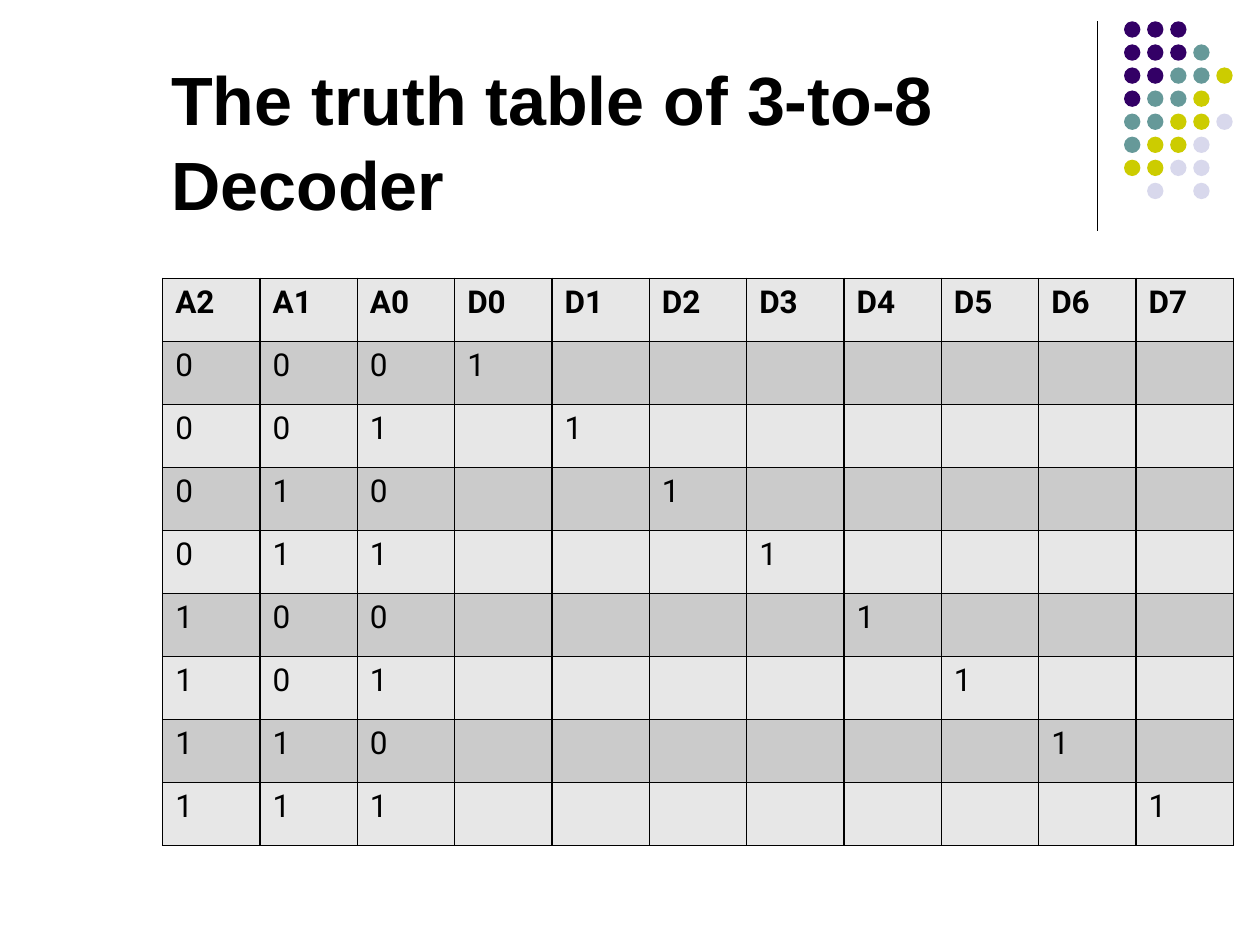
from lxml.etree import SubElement
from pptx import Presentation
from pptx.dml.color import RGBColor
from pptx.enum.shapes import MSO_CONNECTOR, MSO_SHAPE
from pptx.enum.text import MSO_ANCHOR, MSO_AUTO_SIZE, PP_ALIGN
from pptx.oxml.ns import qn
from pptx.util import Cm, Pt

COLORS = {
    "black": "000000",
    "light row": "E7E7E7",
    "dark row": "CBCBCB",
    "P": "330066",
    "T": "669999",
    "Y": "CCCC00",
    "L": "D8D8EC",
}
# One letter per dot, a dot character for a gap
DOT_ROWS = ["PPP..", "PPPT.", "PPTTY", "PTTY.", "TTYYL", "TYYL.", "YYLL.", ".L.L."]
INPUTS = 3
OUTPUTS = 2 ** INPUTS


def write_text(text_frame, text, *, font, size, bold=False):
    """Fill the first paragraph with one left-aligned black run."""
    paragraph = text_frame.paragraphs[0]
    paragraph.alignment = PP_ALIGN.LEFT
    run = paragraph.add_run()
    run.text = text
    run.font.name = font
    run.font.size = Pt(size)
    run.font.bold = bold
    run.font.color.rgb = RGBColor.from_string(COLORS["black"])


def add_borders(cell):
    """Draw a 1 pt black line on all four sides of a cell."""
    properties = cell._tc.get_or_add_tcPr()
    for position, side in enumerate(("a:lnL", "a:lnR", "a:lnT", "a:lnB")):
        line = SubElement(properties, qn(side), w=str(Pt(1)))
        fill = SubElement(line, qn("a:solidFill"))
        SubElement(fill, qn("a:srgbClr"), val=COLORS["black"])
        properties.insert(position, line)


presentation = Presentation()
presentation.slide_width = Cm(25.4)
presentation.slide_height = Cm(19.05)
slide = presentation.slides.add_slide(presentation.slide_layouts[5])
shapes = slide.shapes

# Title
title = shapes.title
title.left, title.top, title.width, title.height = Cm(3.2), Cm(0.58), Cm(21.64), Cm(4.06)
title_frame = title.text_frame
title_frame.auto_size = MSO_AUTO_SIZE.NONE
title_frame.word_wrap = True
title_frame.vertical_anchor = MSO_ANCHOR.BOTTOM
title_frame.margin_right = Cm(0.5)
title_frame.paragraphs[0].line_spacing = 1.03
write_text(title_frame, "The truth table of 3-to-8 Decoder", font="Arial", size=39, bold=True)

# Vertical rule and dot pattern
rule = shapes.add_connector(MSO_CONNECTOR.STRAIGHT, Cm(22.12), Cm(0.43), Cm(22.12), Cm(4.65))
rule.line.color.rgb = RGBColor.from_string(COLORS["black"])
rule.line.width = Pt(0.75)
SubElement(rule._element.spPr, qn("a:effectLst"))

dots = shapes.add_group_shape()
dot_size, dot_pitch = 0.33, 0.465
for row, letters in enumerate(DOT_ROWS):
    for column, letter in enumerate(letters):
        if letter == ".":
            continue
        dot = dots.shapes.add_shape(
            MSO_SHAPE.OVAL,
            Cm(22.66 + column * dot_pitch), Cm(0.43 + row * dot_pitch),
            Cm(dot_size), Cm(dot_size),
        )
        dot.shadow.inherit = False
        dot.fill.solid()
        dot.fill.fore_color.rgb = RGBColor.from_string(COLORS[letter])
        dot.line.fill.background()

# Truth table: each input combination switches on one output
header = [f"A{bit}" for bit in reversed(range(INPUTS))]
header += [f"D{output}" for output in range(OUTPUTS)]
truth_rows = [header]
for number in range(OUTPUTS):
    outputs = ["1" if output == number else "" for output in range(OUTPUTS)]
    truth_rows.append(list(f"{number:0{INPUTS}b}") + outputs)

table = shapes.add_table(
    len(truth_rows), len(header), Cm(3.28), Cm(5.61), Cm(21.59), Cm(11.43)
).table
for row, values in enumerate(truth_rows):
    row_color = COLORS["dark row" if row % 2 else "light row"]
    for column, value in enumerate(values):
        cell = table.cell(row, column)
        cell.fill.solid()
        cell.fill.fore_color.rgb = RGBColor.from_string(row_color)
        add_borders(cell)
        if value:
            write_text(cell.text_frame, value, font="Roboto", size=18, bold=row == 0)

presentation.save("out.pptx")
